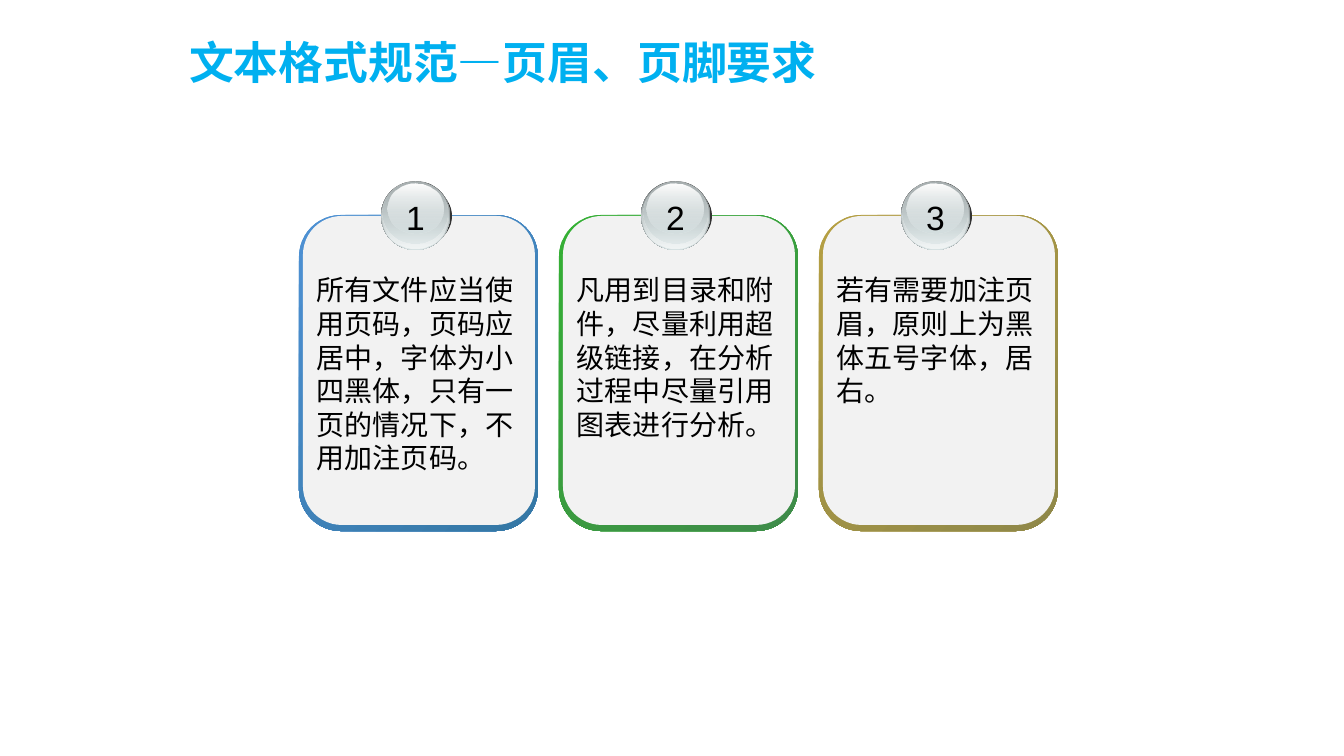
"""Build the slide on header and footer rules with three numbered cards."""
import dataclasses

import pptx
import pptx.dml.color
import pptx.enum.shapes
import pptx.enum.text
import pptx.oxml.ns
import pptx.oxml.xmlchemy
import pptx.util

SHAPE = pptx.enum.shapes.MSO_SHAPE
ALIGN = pptx.enum.text.PP_ALIGN


@dataclasses.dataclass
class Theme:
    """Colours, fonts and type sizes of the slide."""
    title: str = "00B0F0"
    ink: str = "000000"
    panel: str = "F2F2F2"
    bead_shadow: str = "333333"
    bead_rim: str = "636869"
    bead_glass: str = "D6E1E2"
    bead_light: str = "F1F5F5"
    bead_shade: str = "AAB2B3"
    bead_shine: str = "FFFFFF"
    blue_edge: tuple = ("4E91D4", "3477A4")
    green_edge: tuple = ("34B034", "3F8B4A")
    gold_edge: tuple = ("B59F43", "8F8849")
    cjk_font: str = "Noto Sans CJK SC"
    number_font: str = "Arial"
    title_size: int = 32
    number_size: int = 24
    body_size: int = 20


class Painter:
    """Draws styled elements on the current slide, in pixels."""

    def __init__(self, deck, theme):
        """Open a title-only slide."""
        self.theme = theme
        self.slide = deck.slides.add_slide(deck.slide_layouts[5])
        self.shapes = self.slide.shapes

    @staticmethod
    def px(value):
        """Turn pixels into EMU."""
        return round(value * 914400 / 100.8)

    def start_group(self):
        """Direct the following elements into a new group."""
        self.shapes = self.slide.shapes.add_group_shape().shapes

    def set_text(self, box, text, font, size, color, align=ALIGN.LEFT,
                 wrap=True, bold=False, leading=None):
        """Set and format the text of a box."""
        frame = box.text_frame
        frame.text = text
        frame.word_wrap = wrap
        frame.auto_size = pptx.enum.text.MSO_AUTO_SIZE.NONE
        frame.vertical_anchor = pptx.enum.text.MSO_ANCHOR.TOP
        para = frame.paragraphs[0]
        para.alignment = align
        if leading:
            para.line_spacing = pptx.util.Pt(leading)
        span = para.runs[0]
        span.font.name = font
        span.font.size = pptx.util.Pt(size)
        span.font.bold = bold
        span.font.color.rgb = pptx.dml.color.RGBColor.from_string(color)
        east_asian = pptx.oxml.xmlchemy.OxmlElement("a:ea")
        east_asian.set("typeface", font)
        span.font._element.find(pptx.oxml.ns.qn("a:latin")).addnext(east_asian)

    def title(self, area, text):
        """Place and format the slide title."""
        box = self.slide.shapes.title
        box.left, box.top, box.width, box.height = map(self.px, area)
        self.set_text(box, text, self.theme.cjk_font, self.theme.title_size,
                      self.theme.title, wrap=False, bold=True, leading=39)

    def text(self, area, text, font, size, **style):
        """Add a text box."""
        box = self.shapes.add_textbox(*map(self.px, area))
        self.set_text(box, text, font, size, self.theme.ink, **style)

    def shape(self, kind, area, stops, angle=90, corner=None):
        """Add a borderless shape with a solid or gradient fill."""
        shape = self.shapes.add_shape(kind, *map(self.px, area))
        shape.shadow.inherit = False
        shape.line.fill.background()
        if corner:
            shape.adjustments[0] = corner
        if len(stops) == 1:
            shape.fill.solid()
            shape.fill.fore_color.rgb = pptx.dml.color.RGBColor.from_string(stops[0][0])
            return
        shape.fill.gradient()
        shape.fill.gradient_angle = 360 - angle
        for stop, (color, opacity) in zip(shape.fill.gradient_stops, stops):
            stop.color.rgb = pptx.dml.color.RGBColor.from_string(color)
            if opacity < 100:
                alpha = pptx.oxml.xmlchemy.OxmlElement("a:alpha")
                alpha.set("val", str(opacity * 1000))
                stop._gs.find(pptx.oxml.ns.qn("a:srgbClr")).append(alpha)

    def card(self, left, number, text, edge_colors):
        """Add a bordered card with a numbered glass bead."""
        theme = self.theme
        self.start_group()
        self.shape(SHAPE.ROUNDED_RECTANGLE, (left, 215, 239, 316),
                   [(color, 100) for color in edge_colors], 45, 0.175)
        self.shape(SHAPE.ROUNDED_RECTANGLE, (left + 4, 216, 232, 309),
                   [(theme.panel, 100)], corner=0.167)
        bead_layers = [
            (82, 185, 71, 62, [(theme.bead_shadow, 100)]),
            (82, 181, 69, 69, [(theme.bead_rim, 100), (theme.bead_glass, 100)]),
            (83, 182, 67, 67, [(theme.bead_glass, 0), (theme.bead_light, 100)]),
            (84, 182, 64, 62, [(theme.bead_shade, 100), (theme.bead_glass, 48)]),
            (88, 184, 56, 50, [(theme.bead_shine, 100), (theme.bead_glass, 38)]),
        ]
        for offset, top, width, height, stops in bead_layers:
            self.shape(SHAPE.OVAL, (left + offset, top, width, height), stops)
        self.text((left + 97, 192, 39, 50), str(number), theme.number_font,
                  theme.number_size, align=ALIGN.CENTER, wrap=False)
        self.text((left + 8, 268, 227, 214), text, theme.cjk_font,
                  theme.body_size, leading=24)


def main():
    """Create and save the deck."""
    theme = Theme()
    deck = pptx.Presentation()
    deck.slide_width = Painter.px(1344)
    deck.slide_height = Painter.px(756)
    painter = Painter(deck, theme)
    painter.title((179, 29, 658, 65), "文本格式规范—页眉、页脚要求")
    cards = [
        ("所有文件应当使用页码，页码应居中，字体为小四黑体，只有一页的情况下，不用加注页码。",
         theme.blue_edge),
        ("凡用到目录和附件，尽量利用超级链接，在分析过程中尽量引用图表进行分析。",
         theme.green_edge),
        ("若有需要加注页眉，原则上为黑体五号字体，居右。", theme.gold_edge),
    ]
    for index, (text, edge_colors) in enumerate(cards):
        painter.card(299 + 260 * index, index + 1, text, edge_colors)
    deck.save("out.pptx")


main()
